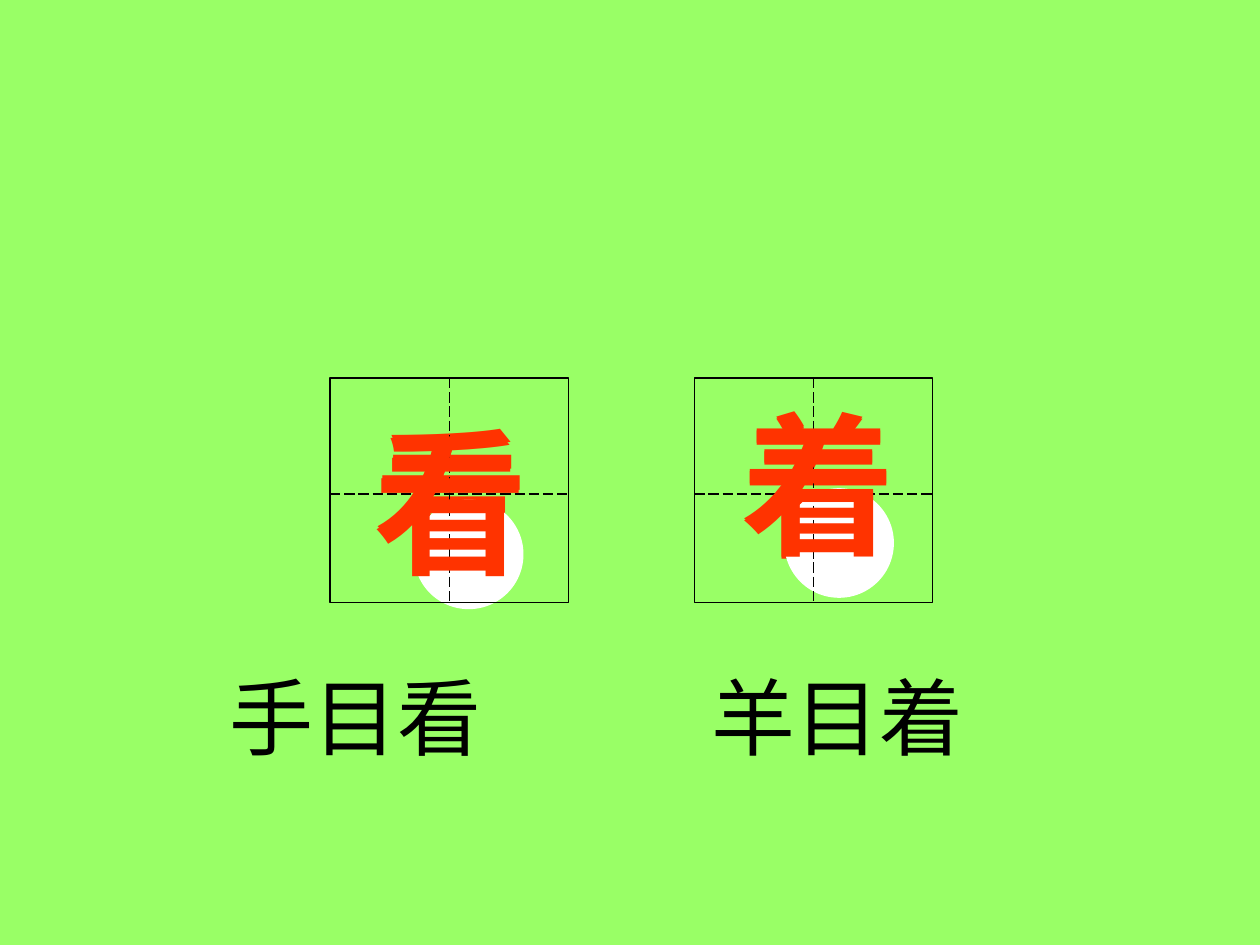
"""Builds a slide contrasting two look-alike characters in practice grids."""
from lxml.etree import SubElement
from pptx import Presentation
from pptx.dml.color import RGBColor
from pptx.enum.dml import MSO_LINE
from pptx.enum.shapes import MSO_CONNECTOR, MSO_SHAPE
from pptx.enum.text import MSO_AUTO_SIZE
from pptx.oxml.ns import qn
from pptx.util import Inches, Pt


def color(value):
    return RGBColor.from_string(value)


def add_text(shapes, text, left, top, width, height, size, fill, bold=False):
    box = shapes.add_textbox(Inches(left), Inches(top), Inches(width), Inches(height))
    frame = box.text_frame
    frame.word_wrap = True
    frame.auto_size = MSO_AUTO_SIZE.SHAPE_TO_FIT_TEXT
    paragraph = frame.paragraphs[0]
    run = paragraph.add_run()
    run.text = text
    paragraph.font.size = Pt(size)
    paragraph.font.bold = bold
    paragraph.font.color.rgb = color(fill)
    paragraph.font.name = "Noto Sans CJK SC"
    for properties in (paragraph.font._element, run.font._element):
        SubElement(properties, qn("a:ea"), typeface="Noto Sans CJK SC")


presentation = Presentation()
presentation.slide_width = Inches(10)
presentation.slide_height = Inches(7.5)
slide = presentation.slides.add_slide(presentation.slide_layouts[6])
slide.background.fill.solid()
slide.background.fill.fore_color.rgb = color("99FF66")

grid_top, grid_width, grid_height, middle = 3, 1.89, 1.78, 3.92
practice = [
    ("看", 2.62, 2.87, 1.25, 3.17, 3.19, 3.29, 3.97),
    ("着", 5.51, 5.79, 1.42, 3.06, 3.04, 6.23, 3.88),
]
for character, grid_left, text_left, back_width, back_top, front_top, dot_left, dot_top in practice:
    grid = slide.shapes.add_group_shape().shapes
    add_text(grid, character, text_left, back_top, back_width, 1.57, 88, "FF3300", True)

    dot = grid.add_shape(MSO_SHAPE.OVAL, Inches(dot_left), Inches(dot_top), Inches(0.86), Inches(0.86))
    dot.shadow.inherit = False
    dot.fill.solid()
    dot.fill.fore_color.rgb = color("FFFFFF")
    dot.line.color.rgb = color("FFFFFF")
    dot.line.width = Pt(0.75)

    square = grid.add_shape(MSO_SHAPE.RECTANGLE, Inches(grid_left), Inches(grid_top),
                            Inches(grid_width), Inches(grid_height))
    square.shadow.inherit = False
    square.fill.background()
    square.line.color.rgb = color("000000")
    square.line.width = Pt(0.75)

    center = grid_left + grid_width / 2
    for x1, y1, x2, y2 in [(grid_left, middle, grid_left + grid_width, middle),
                           (center, grid_top, center, grid_top + grid_height)]:
        guide = grid.add_connector(MSO_CONNECTOR.STRAIGHT, Inches(x1), Inches(y1), Inches(x2), Inches(y2))
        guide.line.color.rgb = color("000000")
        guide.line.width = Pt(0.75)
        guide.line.dash_style = MSO_LINE.LONG_DASH
        SubElement(guide._element.spPr, qn("a:effectLst"))

    add_text(slide.shapes, character, text_left, front_top, 1.67, 1.57, 88, "FF3300", True)

for parts, left, width in [("手目看", 1.72, 3.52), ("羊目着", 5.55, 3.05)]:
    add_text(slide.shapes, parts, left, 5.23, width, 0.9, 48, "000000")

presentation.save("out.pptx")
